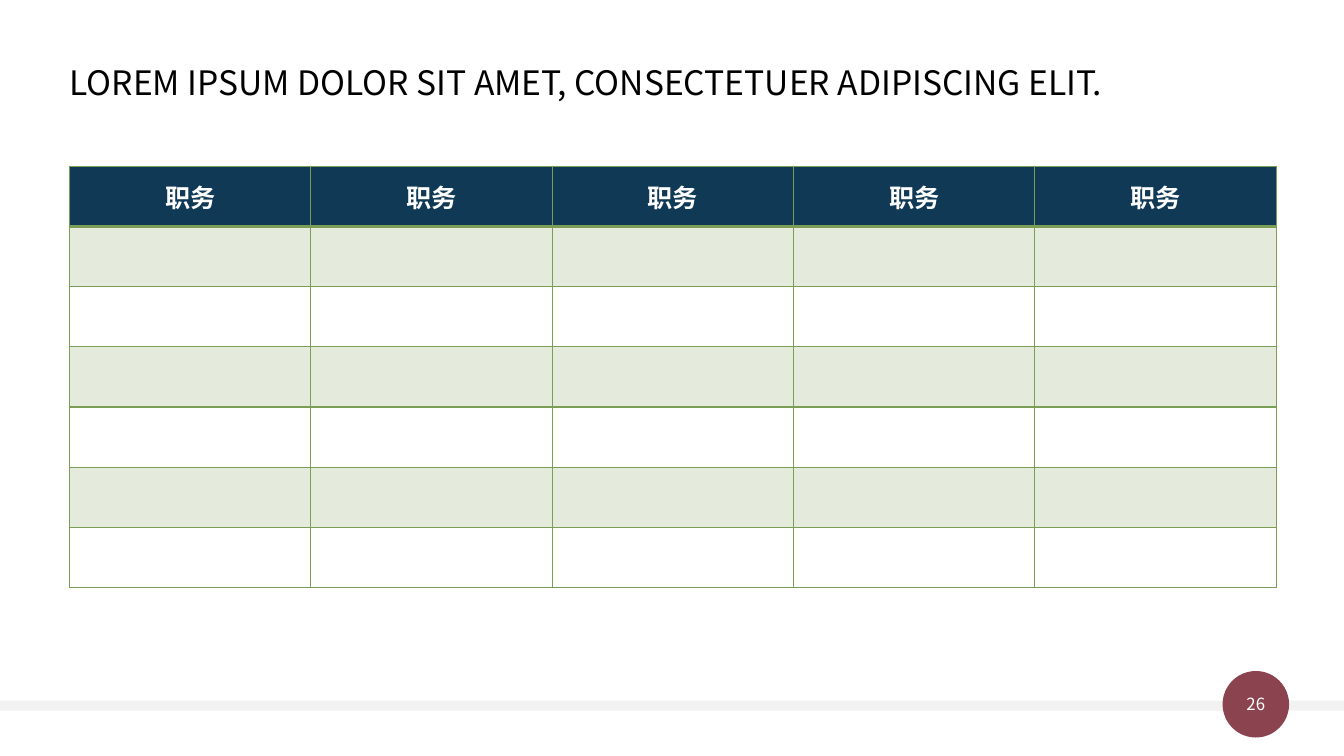
from lxml import etree
from pptx import Presentation
from pptx.dml.color import RGBColor
from pptx.enum.shapes import MSO_SHAPE
from pptx.enum.text import MSO_ANCHOR, PP_ALIGN
from pptx.oxml.ns import qn
from pptx.util import Pt

RECTANGLE, OVAL = MSO_SHAPE.RECTANGLE, MSO_SHAPE.OVAL
MIDDLE, CENTER = MSO_ANCHOR.MIDDLE, PP_ALIGN.CENTER
FONT = "Noto Sans CJK SC"
NAVY, GREEN, PALE_GREEN = "0F3955", "7A9E56", "E4EBDD"
ROWS, COLS = 7, 5
ROW_HEIGHT, COL_WIDTH = 43, 172.4


def rgb(color):
    return RGBColor.from_string(color)


def style_text(p, size, color, bold=False):
    """Format every run, naming the font for Latin and Chinese text alike."""
    for r in p.runs:
        r.font.size = Pt(size)
        r.font.bold = bold
        r.font.color.rgb = rgb(color)
        r.font.name = FONT
        ea = etree.SubElement(r.font._element, qn("a:ea"))
        ea.set("typeface", FONT)


prs = Presentation()
prs.slide_width, prs.slide_height = Pt(960), Pt(540)
s = prs.slides.add_slide(prs.slide_layouts[6])

# Footer band and page number
for shape, left, top, width, height, color in (
    (RECTANGLE, 0, 500.4, 960, 7.2, "F2F2F2"),
    (OVAL, 873.3, 479.3, 47.5, 47.5, "8A434F"),
):
    sp = s.shapes.add_shape(shape, Pt(left), Pt(top), Pt(width), Pt(height))
    sp.shadow.inherit = False
    sp.fill.solid()
    sp.fill.fore_color.rgb = rgb(color)
    sp.line.fill.background()

tf = sp.text_frame
tf.margin_left = tf.margin_right = tf.margin_top = tf.margin_bottom = 0
tf.vertical_anchor = MIDDLE
tf.text = "26"
tf.paragraphs[0].alignment = CENTER
style_text(tf.paragraphs[0], 12, "FFFFFF")

# Title
title = s.shapes.add_textbox(Pt(49.7), Pt(43.9), Pt(851.8), Pt(65.5))
tf = title.text_frame
tf.word_wrap = True
tf.margin_left = 0
tf.text = "LOREM IPSUM DOLOR SIT AMET, CONSECTETUER ADIPISCING ELIT."
tf.paragraphs[0].line_spacing = 0.9
style_text(tf.paragraphs[0], 24, "000000")

# Table
table = s.shapes.add_table(ROWS, COLS, Pt(49.7), Pt(118.8),
                           Pt(COLS * COL_WIDTH), Pt(ROWS * ROW_HEIGHT)).table
table.first_row = table.horz_banding = False
for column in table.columns:
    column.width = Pt(COL_WIDTH)

for i, row in enumerate(table.rows):
    row.height = Pt(ROW_HEIGHT)
    for cell in row.cells:
        tcPr = cell._tc.get_or_add_tcPr()
        for side in ("lnL", "lnR", "lnT", "lnB"):
            heavy = (i, side) in ((0, "lnB"), (1, "lnT"))
            ln = etree.SubElement(tcPr, qn(f"a:{side}"), w=str(Pt(2 if heavy else 1)))
            fill = etree.SubElement(ln, qn("a:solidFill"))
            etree.SubElement(fill, qn("a:srgbClr"), val=GREEN)
        if i % 2 == 0 and i > 0:
            cell.fill.background()
        else:
            cell.fill.solid()
            cell.fill.fore_color.rgb = rgb(PALE_GREEN if i else NAVY)
        if i == 0:
            cell.text = "职务"
            cell.vertical_anchor = MIDDLE
            p = cell.text_frame.paragraphs[0]
            p.alignment = CENTER
            style_text(p, 18, "FFFFFF", bold=True)

prs.save("out.pptx")
